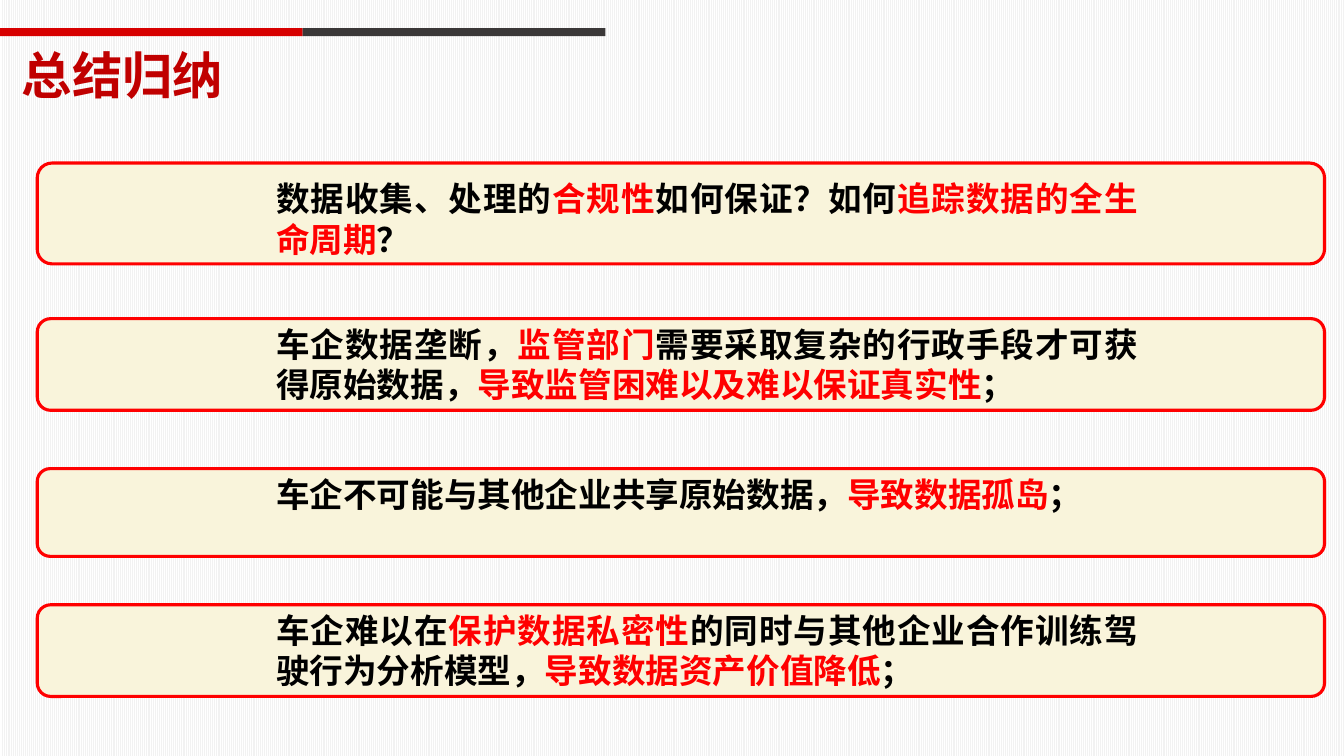
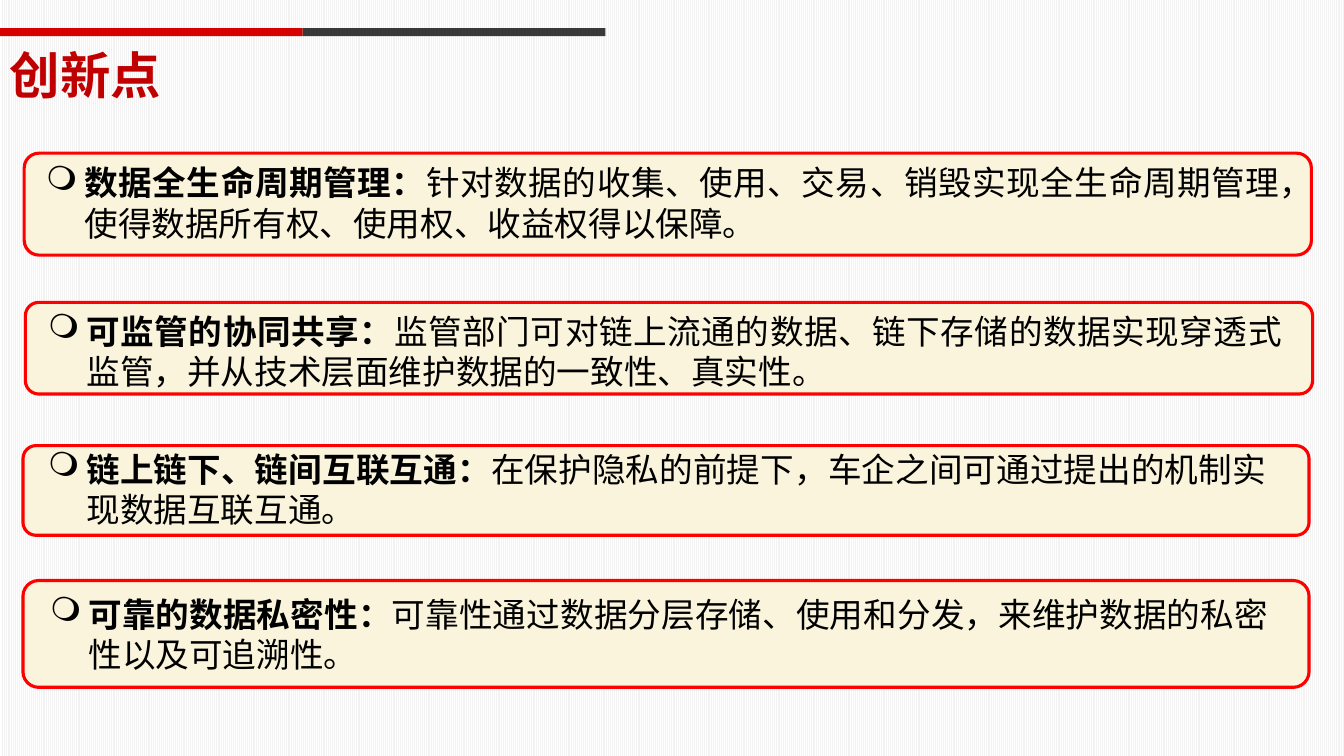
from lxml.etree import SubElement
from pptx import Presentation
from pptx.dml.color import RGBColor
from pptx.enum.dml import MSO_PATTERN
from pptx.enum.shapes import MSO_SHAPE
from pptx.enum.text import PP_ALIGN
from pptx.oxml.ns import qn
from pptx.util import Cm, Pt

WHITE = RGBColor(0xFF, 0xFF, 0xFF)
STRIPE = RGBColor(0xF2, 0xF2, 0xF2)
TITLE_RED = RGBColor(0xC0, 0x00, 0x00)
BAND_RED = RGBColor(0xD7, 0x00, 0x00)
BAND_GREY = RGBColor(0x3B, 0x38, 0x38)
CREAM = RGBColor(0xF9, 0xF4, 0xDB)
RED = RGBColor(0xFF, 0x00, 0x00)
BLACK = RGBColor(0x00, 0x00, 0x00)

TITLE_FONT = "Montserrat"
BODY_FONT = "Noto Sans CJK SC"
BAND_WIDTH = 7.63
TEXT_HEIGHT = 2.31

# Panel left, top, width, height; text left, top, width; then the runs.
# Runs alternate between black and red.
PROBLEMS = [
    ((0.94, 4.11, 32.44, 2.54), (6.71, 4.37, 22.22),
     ["数据收集、处理的", "合规性", "如何保证？如何", "追踪数据的全生命周期", "？"]),
    ((0.94, 8.03, 32.44, 2.31), (6.71, 8.03, 22.22),
     ["车企数据垄断，", "监管部门", "需要采取复杂的行政手段才可获得原始数据，",
      "导致监管困难以及难以保证真实性", "；"]),
    ((0.94, 11.81, 32.44, 2.21), (6.71, 11.81, 22.22),
     ["车企不可能与其他企业共享原始数据，", "导致数据孤岛", "；"]),
    ((0.94, 15.24, 32.44, 2.31), (6.71, 15.24, 22.22),
     ["车企难以在", "保护数据私密性", "的同时与其他企业合作训练驾驶行为分析模型，",
      "导致数据资产价值降低", "；"]),
]

# A bold heading, then its explanation.
INNOVATIONS = [
    ((0.61, 3.86, 32.44, 2.57), (0.33, 3.96, 32.18),
     ["数据全生命周期管理：",
      "针对数据的收集、使用、交易、销毁实现全生命周期管理，使得数据所有权、使用权、收益权得以保障。"]),
    ((0.64, 7.62, 32.44, 2.31), (0.38, 7.7, 32.18),
     ["可监管的协同共享：",
      "监管部门可对链上流通的数据、链下存储的数据实现穿透式监管，并从技术层面维护数据的一致性、真实性。"]),
    ((0.58, 11.23, 32.41, 2.26), (0.38, 11.18, 31.78),
     ["链上链下、链间互联互通：",
      "在保护隐私的前提下，车企之间可通过提出的机制实现数据互联互通。"]),
    ((0.58, 14.63, 32.41, 2.69), (0.43, 14.83, 31.78),
     ["可靠的数据私密性：",
      "可靠性通过数据分层存储、使用和分发，来维护数据的私密性以及可追溯性。"]),
]


def add_bullet(paragraph, character):
    properties = paragraph._p.get_or_add_pPr()
    properties.set("marL", str(Cm(1.55)))
    properties.set("indent", str(-Cm(0.97)))
    SubElement(properties, qn("a:buChar"), char=character)


def add_text(slide, runs, left, top, width, height=TEXT_HEIGHT, *, size=24,
             font=BODY_FONT, align=PP_ALIGN.JUSTIFY, bullet=None):
    """Add one paragraph; each run is (text, colour, bold)."""
    box = slide.shapes.add_textbox(Cm(left), Cm(top), Cm(width), Cm(height))
    box.text_frame.word_wrap = True
    paragraph = box.text_frame.paragraphs[0]
    paragraph.alignment = align
    if bullet:
        add_bullet(paragraph, bullet)
    for text, colour, bold in runs:
        run = paragraph.add_run()
        run.text = text
        run.font.name = font
        run.font.size = Pt(size)
        run.font.bold = bold
        run.font.color.rgb = colour
        SubElement(run._r.get_or_add_rPr(), qn("a:ea"), typeface=BODY_FONT)


def add_box(slide, kind, left, top, width, height, fill, line=None):
    shape = slide.shapes.add_shape(kind, Cm(left), Cm(top), Cm(width), Cm(height))
    shape.shadow.inherit = False
    shape.fill.solid()
    shape.fill.fore_color.rgb = fill
    if line is None:
        shape.line.fill.background()
    else:
        shape.line.color.rgb = line
        shape.line.width = Pt(2.25)
    return shape


def add_panel(slide, left, top, width, height):
    panel = add_box(slide, MSO_SHAPE.ROUNDED_RECTANGLE, left, top, width, height,
                    CREAM, RED)
    panel.adjustments[0] = 0.146


def add_titled_slide(presentation, title, title_left=0):
    slide = presentation.slides.add_slide(presentation.slide_layouts[6])
    background = slide.background.fill
    background.patterned()
    background.pattern = MSO_PATTERN.NARROW_VERTICAL
    background.fore_color.rgb = STRIPE
    background.back_color.rgb = WHITE
    add_text(slide, [(title, TITLE_RED, True)], title_left, 0.99, 25.12, 1.8,
             size=36, font=TITLE_FONT, align=PP_ALIGN.LEFT)
    for index, colour in enumerate((BAND_RED, BAND_GREY)):
        add_box(slide, MSO_SHAPE.RECTANGLE, index * BAND_WIDTH, 0.71,
                BAND_WIDTH, 0.2, colour)
    return slide


def add_summary_slide(presentation):
    slide = add_titled_slide(presentation, "总结归纳", title_left=0.3)
    for panel, text_place, parts in PROBLEMS:
        add_panel(slide, *panel)
        runs = [(part, RED if index % 2 else BLACK, True)
                for index, part in enumerate(parts)]
        add_text(slide, runs, *text_place)


def add_innovation_slide(presentation):
    slide = add_titled_slide(presentation, "创新点")
    for panel, text_place, (heading, explanation) in INNOVATIONS:
        add_panel(slide, *panel)
        runs = [(heading, BLACK, True), (explanation, BLACK, False)]
        add_text(slide, runs, *text_place, bullet="❍")


def main():
    presentation = Presentation()
    presentation.slide_width = Cm(33.87)
    presentation.slide_height = Cm(19.05)
    add_summary_slide(presentation)
    add_innovation_slide(presentation)
    presentation.save("out.pptx")


if __name__ == "__main__":
    main()
